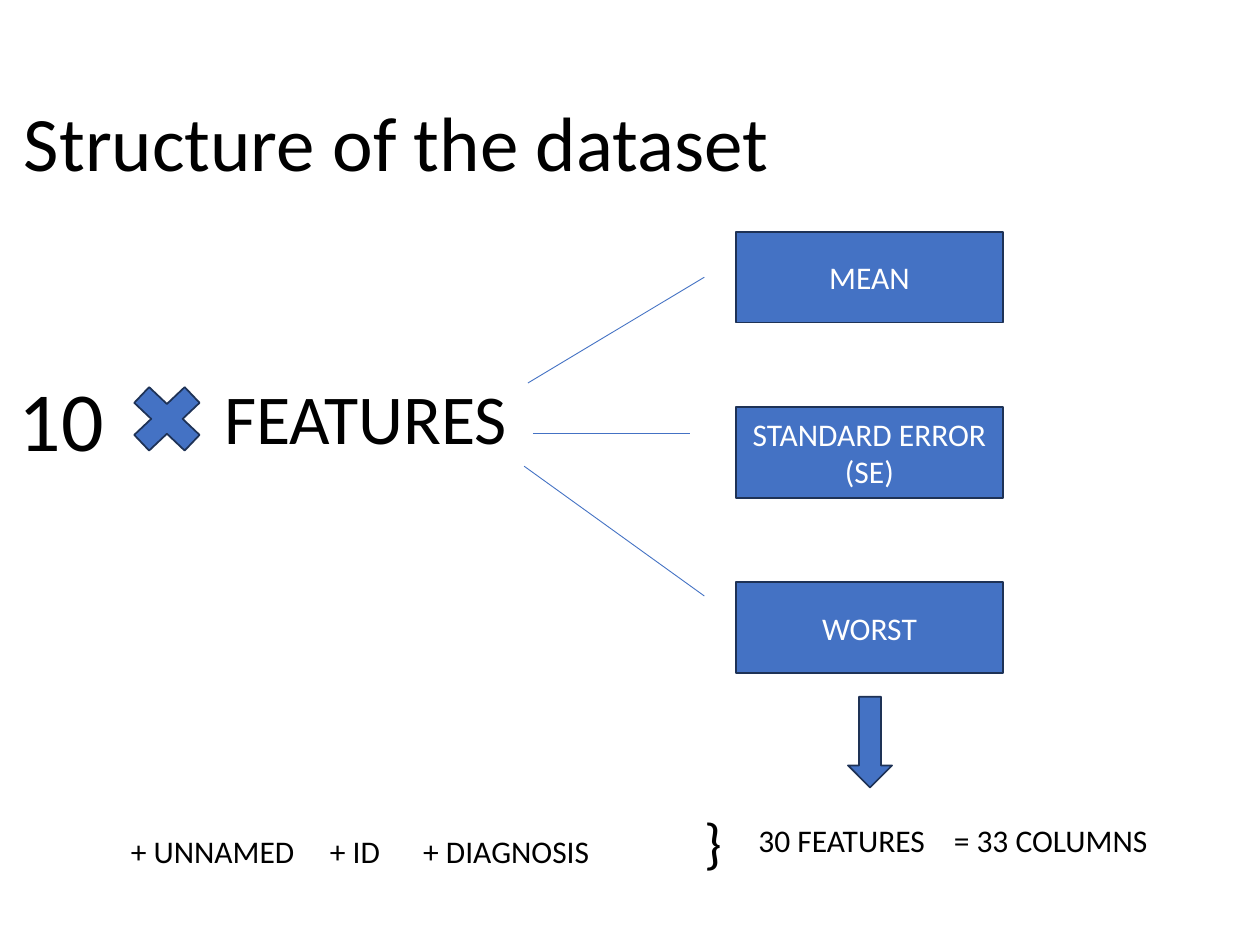
"""Build the slide that explains how the dataset's columns are made up."""
from lxml import etree
from pptx import Presentation
from pptx import util as u
from pptx.dml.color import RGBColor
from pptx.enum import shapes, text
from pptx.oxml.ns import qn

SLIDE_WIDTH, SLIDE_HEIGHT = u.Inches(10), u.Inches(7.5)
COLUMNS, ROWS = 100, 75
FONT = "Calibri"
COLORS = {"ink": "000000", "fill": "4472C4", "outline": "1E3256", "label": "FFFFFF"}


def rgb(name):
    """Return the named palette colour."""
    return RGBColor.from_string(COLORS[name])


def col(count):
    """Return the length of a number of grid columns."""
    return round(SLIDE_WIDTH * count / COLUMNS)


def row(count):
    """Return the length of a number of grid rows."""
    return round(SLIDE_HEIGHT * count / ROWS)


def area(left, top, width, height):
    """Return a grid area as slide lengths."""
    return col(left), row(top), col(width), row(height)


def style(run, size, color="ink"):
    """Format one run."""
    run.font.name = FONT
    run.font.size = u.Pt(size)
    run.font.color.rgb = rgb(color)


def set_title(slide, wording):
    """Place and format the title placeholder."""
    title = slide.shapes.title
    title.left, title.top, title.width, title.height = area(0.9, 4.4, 86.2, 14.5)
    frame = title.text_frame
    frame.text = wording
    frame.auto_size = text.MSO_AUTO_SIZE.NONE
    frame.vertical_anchor = text.MSO_ANCHOR.MIDDLE
    heading = frame.paragraphs[0]
    heading.alignment = text.PP_ALIGN.LEFT
    heading.line_spacing = 0.9
    style(heading.runs[0], 44)


def add_text(slide, place, parts, tabs=(), inset=1):
    """Add a line of (wording, size) parts with tab stops given in columns."""
    frame = slide.shapes.add_textbox(*area(*place)).text_frame
    frame.word_wrap = True
    frame.margin_left = col(inset)
    line = frame.paragraphs[0]
    for wording, size in parts:
        run = line.add_run()
        run.text = wording
        style(run, size)
    if tabs:
        stops = etree.SubElement(line._p.get_or_add_pPr(), qn("a:tabLst"))
        for stop in tabs:
            etree.SubElement(stops, qn("a:tab"), pos=str(col(stop)), algn="l")


def add_figure(slide, preset, place, label=""):
    """Add a filled preset shape with an optional centred label."""
    figure = slide.shapes.add_shape(preset, *area(*place))
    figure.shadow.inherit = False
    figure.fill.solid()
    figure.fill.fore_color.rgb = rgb("fill")
    figure.line.color.rgb = rgb("outline")
    figure.line.width = u.Pt(1)
    if label:
        frame = figure.text_frame
        frame.text = label
        frame.word_wrap = True
        frame.vertical_anchor = text.MSO_ANCHOR.MIDDLE
        frame.paragraphs[0].alignment = text.PP_ALIGN.CENTER
        style(frame.paragraphs[0].runs[0], 18, "label")


def add_branch(slide, start, end):
    """Join two grid points with a thin line."""
    branch = slide.shapes.add_connector(
        shapes.MSO_CONNECTOR.STRAIGHT,
        col(start[0]), row(start[1]), col(end[0]), row(end[1]))
    branch.line.color.rgb = rgb("fill")
    branch.line.width = u.Pt(0.5)
    etree.SubElement(branch._element.spPr, qn("a:effectLst"))


def main():
    """Build and save the slide."""
    deck = Presentation()
    deck.slide_width, deck.slide_height = SLIDE_WIDTH, SLIDE_HEIGHT
    slide = deck.slides.add_slide(deck.slide_layouts[5])
    set_title(slide, "Structure of the dataset")

    preset = shapes.MSO_SHAPE
    add_figure(slide, preset.MATH_MULTIPLY, (9.4, 29.6, 7.7, 7.3))
    add_text(slide, (0.5, 28.7, 13.1, 9.1), [("10", 48)])
    add_text(slide, (16.8, 29.2, 25.5, 7.7), [("FEATURES", 40)])

    for index, statistic in enumerate(("MEAN", "STANDARD ERROR (SE)", "WORST")):
        add_figure(slide, preset.RECTANGLE,
                   (58.4, 18.4 + 13.9 * index, 21.2, 7.2), statistic)
    for start, end in (((41.6, 37), (55.9, 47.3)),
                       ((42.3, 34.4), (54.8, 34.4)),
                       ((41.9, 30.4), (55.9, 22))):
        add_branch(slide, start, end)

    add_figure(slide, preset.DOWN_ARROW, (67.3, 55.3, 3.5, 7.2))
    add_text(slide, (51.4, 64.7, 48.6, 4), [("30 FEATURES\t= 33 COLUMNS", 18)],
             tabs=(15.5,), inset=8.8)
    add_text(slide, (9.4, 62.5, 54.8, 7.7),
             [("+ UNNAMED\t+ ID\t+ DIAGNOSIS", 18), ("\t", 40), ("}", 32)],
             tabs=(15.8, 23.2, 45.5))
    deck.save("out.pptx")


if __name__ == "__main__":
    main()
